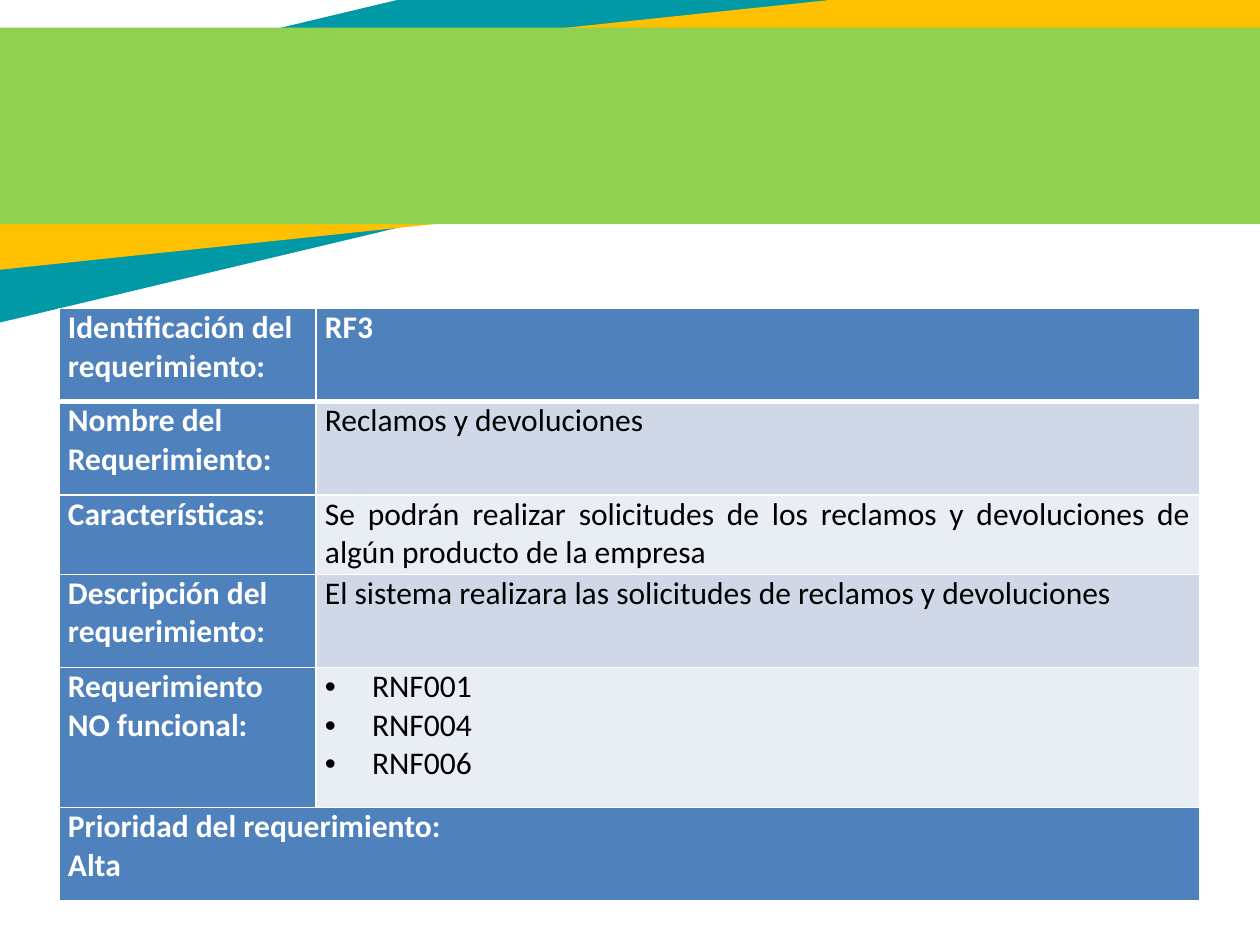
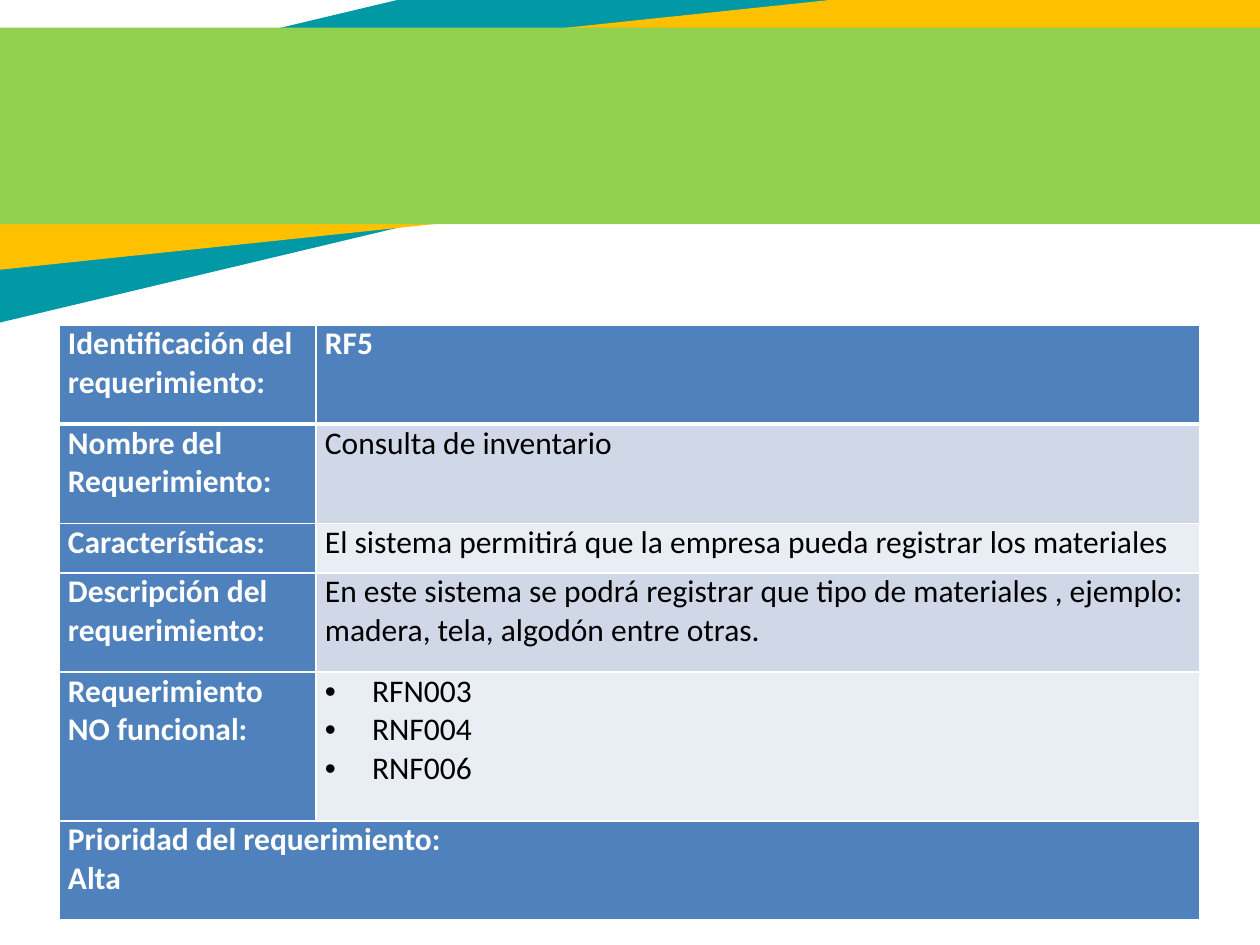
import pptx
import pptx.util
import pptx.dml.color
import pptx.enum.shapes
import pptx.enum.text
import pptx.oxml.ns
import lxml.etree
from dataclasses import dataclass
from pptx.util import Cm

LABELS = [
    "Identificación del requerimiento:",
    "Nombre del Requerimiento:",
    "Características:",
    "Descripción del requerimiento:",
    "Requerimiento NO funcional:",
]
PRIORITY_LABEL = "Prioridad del requerimiento:"

REQUIREMENTS = [
    {
        "values": [
            "RF3",
            "Reclamos y devoluciones",
            "Se podrán realizar solicitudes de los reclamos y devoluciones de algún producto de la empresa",
            "El sistema realizara las solicitudes de reclamos y devoluciones",
            ["RNF001", "RNF004", "RNF006"],
        ],
        "priority": "Alta",
        "top": 6.22,
        "line": 0.94,
        "features_height": 1.6,
    },
    {
        "values": [
            "RF5",
            "Consulta de inventario",
            "El sistema permitirá que la empresa pueda registrar los materiales",
            "En este sistema se podrá registrar que tipo de materiales , ejemplo: madera, tela, algodón entre otras.",
            ["RFN003", "RNF004", "RNF006"],
        ],
        "priority": "Alta",
        "top": 6.55,
        "line": 1.0,
        "features_height": 1.0,
    },
]


@dataclass(frozen=True)
class Theme:
    teal: str = "0099A5"
    amber: str = "FFC000"
    green: str = "92D050"
    blue: str = "4F81BD"
    dark_stripe: str = "D0D8E8"
    light_stripe: str = "E9EDF4"
    white: str = "FFFFFF"
    black: str = "000000"
    font: str = "Calibri"
    size: int = 18
    thin: int = 1
    thick: int = 3


THEME = Theme()
BANDS = [
    (-6.38, -0.46, 33.17, 4.47, 346.6, THEME.teal),
    (-2.79, 0.51, 29.54, 3.66, 354, THEME.amber),
    (-2.69, 0.56, 29.54, 3.96, 0, THEME.green),
]
TABLE_LEFT = 1.19
COLUMN_WIDTHS = (5.18, 17.81)
ROW_LINES = (2, 2, 1, 2, 3, 2)
FEATURES_ROW = 2
SIDE_MARGIN = 0.18
BULLET_INDENT = 0.95


def rgb(color):
    return pptx.dml.color.RGBColor.from_string(color)


def add_child(parent, tag, **attributes):
    return lxml.etree.SubElement(parent, pptx.oxml.ns.qn(tag), attributes)


def add_band(page, left, top, width, height, rotation, color):
    band = page.shapes.add_shape(
        pptx.enum.shapes.MSO_SHAPE.RECTANGLE, Cm(left), Cm(top), Cm(width), Cm(height)
    )
    band.rotation = rotation
    band.shadow.inherit = False
    band.fill.solid()
    band.fill.fore_color.rgb = rgb(color)
    band.line.fill.background()


def write_text(frame, text, color=THEME.black, bold=False, justify=False):
    bulleted = isinstance(text, list) and not bold
    lines = text if isinstance(text, list) else [text]
    for index, line in enumerate(lines):
        para = frame.paragraphs[0] if index == 0 else frame.add_paragraph()
        if bulleted:
            properties = para._p.get_or_add_pPr()
            properties.set("marL", str(Cm(BULLET_INDENT)))
            properties.set("indent", str(-Cm(BULLET_INDENT)))
            add_child(properties, "a:buFont", typeface="Arial")
            add_child(properties, "a:buChar", char="•")
        if justify:
            para.alignment = pptx.enum.text.PP_ALIGN.JUSTIFY
        span = para.add_run()
        span.text = line
        span.font.name = THEME.font
        span.font.size = pptx.util.Pt(THEME.size)
        span.font.bold = bold
        span.font.color.rgb = rgb(color)


def style_cell(cell, fill, row):
    properties = cell._tc.get_or_add_tcPr()
    thick_side = {0: "a:lnB", 1: "a:lnT"}.get(row)
    for side in ("a:lnL", "a:lnR", "a:lnT", "a:lnB"):
        points = THEME.thick if side == thick_side else THEME.thin
        border = add_child(properties, side, w=str(pptx.util.Pt(points)))
        add_child(add_child(border, "a:solidFill"), "a:srgbClr", val=THEME.white)
    cell.fill.solid()
    cell.fill.fore_color.rgb = rgb(fill)
    cell.margin_left = cell.margin_right = Cm(SIDE_MARGIN)
    cell.margin_top = cell.margin_bottom = 0


def add_requirement_table(page, requirement):
    heights = [lines * requirement["line"] for lines in ROW_LINES]
    heights[FEATURES_ROW] = requirement["features_height"]
    table = page.shapes.add_table(
        len(heights), len(COLUMN_WIDTHS), Cm(TABLE_LEFT), Cm(requirement["top"]),
        Cm(sum(COLUMN_WIDTHS)), Cm(sum(heights)),
    ).table
    table.first_row = table.horz_banding = False
    for column, width in zip(table.columns, COLUMN_WIDTHS):
        column.width = Cm(width)
    for row, height in zip(table.rows, heights):
        row.height = Cm(height)

    heading = {"color": THEME.white, "bold": True}
    last = len(heights) - 1
    for row in range(len(heights)):
        stripe = THEME.dark_stripe if row % 2 else THEME.light_stripe
        value_fill = THEME.blue if row in (0, last) else stripe
        style_cell(table.cell(row, 0), THEME.blue, row)
        style_cell(table.cell(row, 1), value_fill, row)

    for row, (label, value) in enumerate(zip(LABELS, requirement["values"])):
        value_format = heading if row == 0 else {"justify": row == FEATURES_ROW}
        write_text(table.cell(row, 0).text_frame, label, **heading)
        write_text(table.cell(row, 1).text_frame, value, **value_format)

    table.cell(last, 0).merge(table.cell(last, 1))
    write_text(
        table.cell(last, 0).text_frame, [PRIORITY_LABEL, requirement["priority"]], **heading
    )


def main():
    deck = pptx.Presentation()
    deck.slide_width, deck.slide_height = Cm(25.4), Cm(19.05)
    for requirement in REQUIREMENTS:
        page = deck.slides.add_slide(deck.slide_layouts[6])
        for band in BANDS:
            add_band(page, *band)
        add_requirement_table(page, requirement)
    deck.save("out.pptx")


if __name__ == "__main__":
    main()
